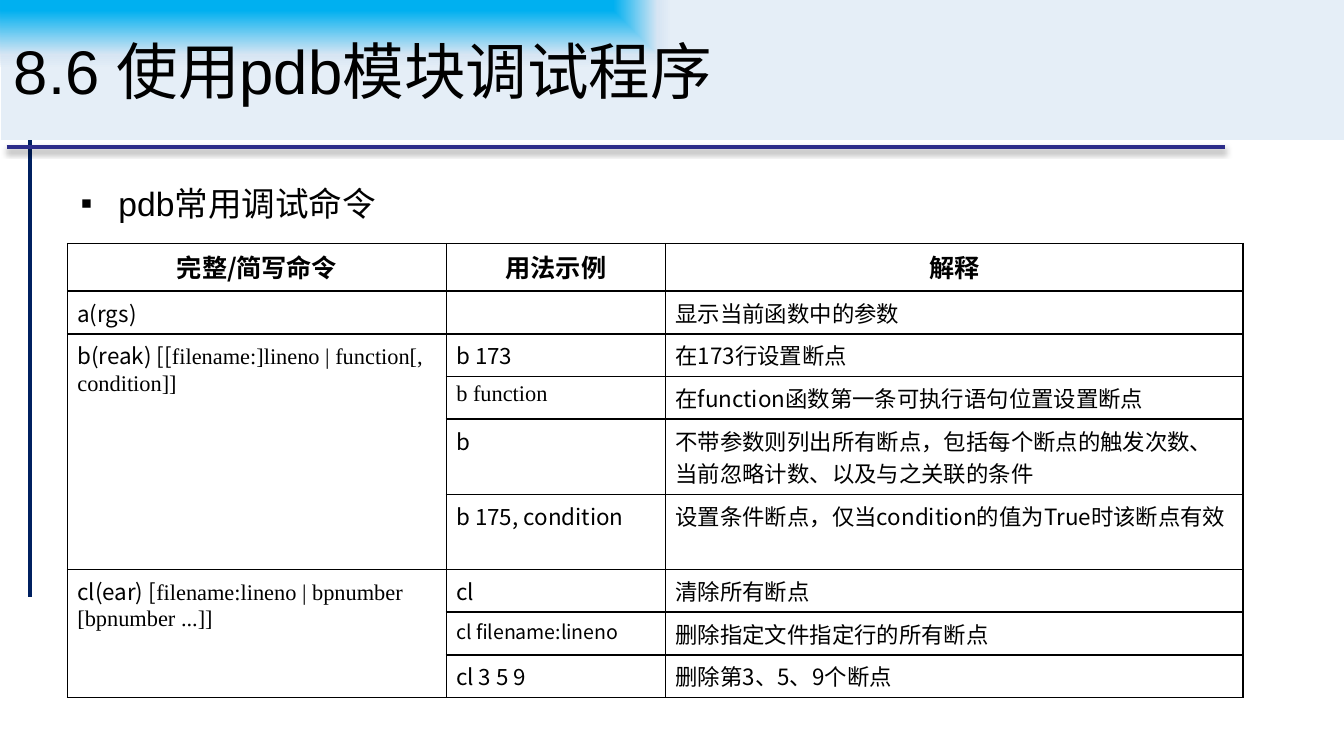
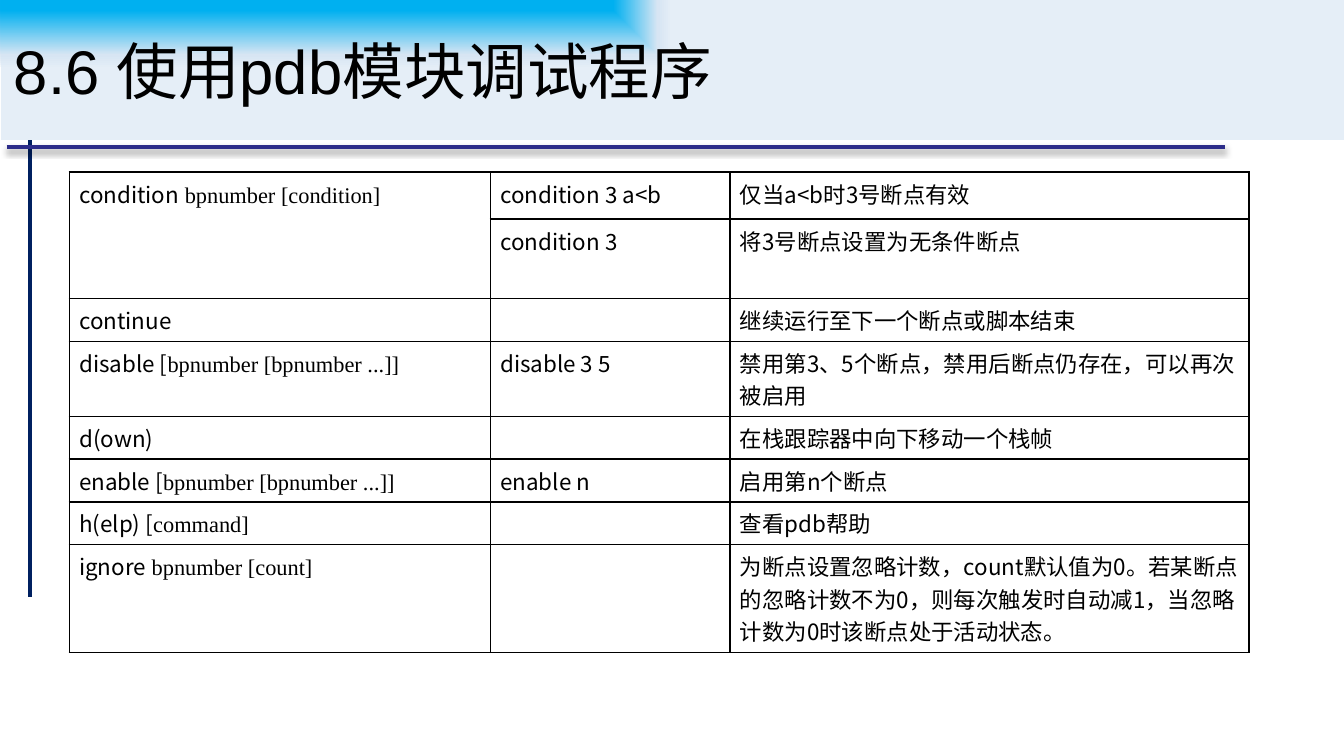
from dataclasses import dataclass
from typing import Optional

from lxml.etree import SubElement
from pptx import Presentation
from pptx.dml.color import RGBColor
from pptx.enum.shapes import MSO_CONNECTOR as Connector, MSO_SHAPE as Shape
from pptx.enum.text import MSO_ANCHOR as Anchor, PP_ALIGN as Align
from pptx.oxml import parse_xml
from pptx.oxml.ns import nsdecls, qn
from pptx.util import Pt

# Shared style
BLACK, NAVY, INDIGO = "000000", "002060", "2D2D89"
BAND_STOPS = ((0, "00B0F0"), (16, "00B0F0"), (79, "D7E5F3"), (100, "E5EEF7"))
SANS, SERIF, HEADING = "Noto Sans CJK SC", "Times New Roman", "Arial"
TITLE = "8.6 使用pdb模块调试程序"
RULE_SHADOW = (
    '<a:outerShdw {} blurRad="39370" dist="22860" dir="5400000" rotWithShape="0">'
    '<a:srgbClr val="000000"><a:alpha val="35000"/></a:srgbClr></a:outerShdw>'
).format(nsdecls("a"))

# Row heights by number of text lines
HEADER_ROW, ONE_LINE, TWO_LINES, THREE_LINES = 25.4, 22.9, 40.3, 57.9


@dataclass(frozen=True)
class Span:
    text: str
    font: str = SANS
    size: float = 12
    bold: bool = False


@dataclass(frozen=True)
class Rule:
    start: tuple[float, float]
    end: tuple[float, float]
    color: str
    shadow: bool = False


Cell = Optional[tuple[Span, ...]]  # None continues the cell above


@dataclass(frozen=True)
class CommandTable:
    left: float
    top: float
    widths: tuple[float, ...]
    heights: tuple[float, ...]
    rows: tuple[tuple[Cell, ...], ...]
    has_header: bool = False


RULES = (
    Rule((16.1, 58.3), (16.1, 320.1), NAVY),
    Rule((3.6, 78.9), (656, 78.9), INDIGO, shadow=True),
)


def sans(text: str, size: float = 12) -> tuple[Span, ...]:
    return (Span(text, size=size),)


def head(text: str) -> tuple[Span, ...]:
    return (Span(text, size=13.5, bold=True),)


def serif(text: str) -> tuple[Span, ...]:
    return (Span(text, SERIF),)


EMPTY: Cell = ()

# Table contents
BREAKPOINTS = CommandTable(
    36.2, 130.5, (203, 117.4, 309.4),
    (HEADER_ROW, *[ONE_LINE] * 3, *[TWO_LINES] * 2, *[ONE_LINE] * 3),
    (
        (head("完整/简写命令"), head("用法示例"), head("解释")),
        (sans("a(rgs)"), EMPTY, sans("显示当前函数中的参数")),
        (sans("b(reak) [[") + serif("filename:]lineno | function[, condition]]"),
         sans("b 173"), sans("在173行设置断点")),
        (None, serif("b function"), sans("在function函数第一条可执行语句位置设置断点")),
        (None, sans("b"),
         sans("不带参数则列出所有断点，包括每个断点的触发次数、当前忽略计数、以及与之关联的条件")),
        (None, sans("b 175, condition"),
         sans("设置条件断点，仅当condition的值为True时该断点有效")),
        (sans("cl(ear) [") + serif("filename:lineno | bpnumber [bpnumber ...]]"),
         sans("cl"), sans("清除所有断点")),
        (None, sans("cl filename:lineno", 10.5), sans("删除指定文件指定行的所有断点")),
        (None, sans("cl 3 5 9"), sans("删除第3、5、9个断点")),
    ),
    has_header=True,
)

CONTROLS = CommandTable(
    37.2, 92.2, (225.6, 128.4, 278),
    (25.2, 42.6, ONE_LINE, TWO_LINES, *[ONE_LINE] * 3, THREE_LINES),
    (
        (sans("condition") + serif(" bpnumber [condition]"),
         sans("condition 3 a<b"), sans("仅当a<b时3号断点有效")),
        (None, sans("condition 3"), sans("将3号断点设置为无条件断点")),
        (sans("continue"), EMPTY, sans("继续运行至下一个断点或脚本结束")),
        (sans("disable [") + serif("bpnumber [bpnumber ...]]"),
         sans("disable 3 5"), sans("禁用第3、5个断点，禁用后断点仍存在，可以再次被启用")),
        (sans("d(own)"), EMPTY, sans("在栈跟踪器中向下移动一个栈帧")),
        (sans("enable [") + serif("bpnumber [bpnumber ...]]"),
         sans("enable n"), sans("启用第n个断点")),
        (sans("h(elp) [") + serif("command]"), EMPTY, sans("查看pdb帮助")),
        (sans("ignore") + serif(" bpnumber [count]"), EMPTY,
         sans("为断点设置忽略计数，count默认值为0。若某断点的忽略计数不为0，"
              "则每次触发时自动减1，当忽略计数为0时该断点处于活动状态。")),
    ),
)


def rgb(color: str) -> RGBColor:
    return RGBColor.from_string(color)


def write(para, spans: tuple[Span, ...]) -> None:
    for span in spans:
        run = para.add_run()
        run.text = span.text
        font = run.font
        font.name, font.size, font.bold = span.font, Pt(span.size), span.bold
        font.color.rgb = rgb(BLACK)
        east_asian = SubElement(run._r.get_or_add_rPr(), qn("a:ea"))
        east_asian.set("typeface", SANS)
        run._r.rPr.find(qn("a:latin")).addnext(east_asian)
    if not spans:  # keeps empty cells from stretching their row
        SubElement(para._p, qn("a:endParaRPr")).set("sz", "1200")


def draw_rule(page, rule: Rule) -> None:
    line = page.shapes.add_connector(
        Connector.STRAIGHT, *map(Pt, rule.start + rule.end))
    line.line.color.rgb = rgb(rule.color)
    line.line.width = Pt(2.25)
    effects = SubElement(line._element.spPr, qn("a:effectLst"))
    if rule.shadow:
        effects.append(parse_xml(RULE_SHADOW))


def draw_title(page) -> None:
    band = page.shapes.add_shape(
        Shape.RECTANGLE, Pt(0.3), Pt(-0.5), Pt(720), Pt(75.6))
    band.shadow.inherit = False
    band.line.fill.background()
    stops = "".join(
        f'<a:gs pos="{position * 1000}"><a:srgbClr val="{color}"/></a:gs>'
        for position, color in BAND_STOPS)
    gradient = parse_xml(
        f'<a:gradFill {nsdecls("a")} rotWithShape="1"><a:gsLst>{stops}</a:gsLst>'
        '<a:path path="rect"><a:fillToRect r="100000" b="100000"/></a:path></a:gradFill>')
    band._element.spPr.find(qn("a:prstGeom")).addnext(gradient)
    frame = band.text_frame
    frame.word_wrap = True
    frame.vertical_anchor = Anchor.MIDDLE
    para = frame.paragraphs[0]
    para.alignment = Align.LEFT
    write(para, (Span(TITLE, HEADING, 33),))


def draw_bullet(page, text: str) -> None:
    box = page.shapes.add_textbox(Pt(36.2), Pt(94.3), Pt(648), Pt(267))
    box.text_frame.word_wrap = True
    para = box.text_frame.paragraphs[0]
    write(para, (Span(text, HEADING, 18),))
    properties = para._p.get_or_add_pPr()
    properties.set("marL", str(Pt(20.2)))
    properties.set("indent", str(-Pt(20.2)))
    SubElement(properties, qn("a:buFont")).set("typeface", HEADING)
    SubElement(properties, qn("a:buChar")).set("char", "▪")


def style_cell(cell) -> None:
    cell.margin_left = cell.margin_right = Pt(5.25)
    cell.margin_top = cell.margin_bottom = Pt(2.7)
    cell.fill.background()
    properties = cell._tc.get_or_add_tcPr()
    for index, side in enumerate(("lnL", "lnR", "lnT", "lnB")):
        properties.insert(index, parse_xml(
            f'<a:{side} {nsdecls("a")} w="{Pt(1)}"><a:solidFill>'
            f'<a:srgbClr val="{BLACK}"/></a:solidFill></a:{side}>'))


def draw_table(page, commands: CommandTable) -> None:
    widths, heights, rows = commands.widths, commands.heights, commands.rows
    table = page.shapes.add_table(
        len(rows), len(widths), Pt(commands.left), Pt(commands.top),
        Pt(sum(widths)), Pt(sum(heights))).table
    table.first_row = table.horz_banding = False
    for column, width in zip(table.columns, widths):
        column.width = Pt(width)
    for row, height in zip(table.rows, heights):
        row.height = Pt(height)
    for row_index, row in enumerate(rows):
        for column_index, spans in enumerate(row):
            cell = table.cell(row_index, column_index)
            style_cell(cell)
            para = cell.text_frame.paragraphs[0]
            if commands.has_header and row_index == 0:
                para.alignment = Align.CENTER
            write(para, spans or ())
    # Join each first-column cell with the continuation cells below it
    starts = [index for index, row in enumerate(rows) if row[0] is not None]
    for start, following in zip(starts, starts[1:] + [len(rows)]):
        if following - start > 1:
            table.cell(start, 0).merge(table.cell(following - 1, 0))


def add_page(deck):
    page = deck.slides.add_slide(deck.slide_layouts[6])
    for rule in RULES:
        draw_rule(page, rule)
    draw_title(page)
    return page


def main() -> None:
    deck = Presentation()
    deck.slide_width, deck.slide_height = Pt(720), Pt(405)

    # Breakpoint commands
    page = add_page(deck)
    draw_bullet(page, "pdb常用调试命令")
    draw_table(page, BREAKPOINTS)

    # Execution and breakpoint control
    draw_table(add_page(deck), CONTROLS)

    deck.save("out.pptx")


if __name__ == "__main__":
    main()
